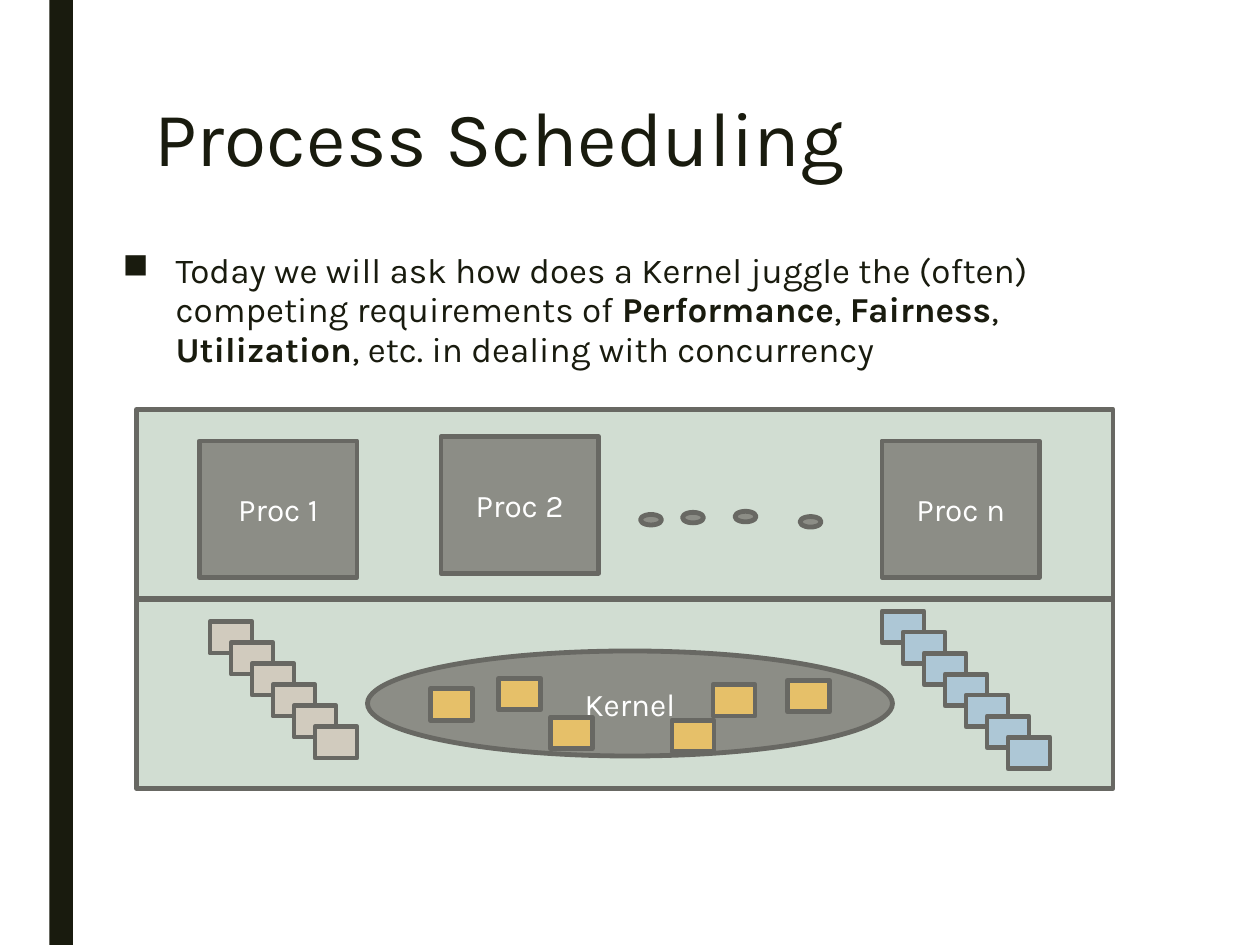
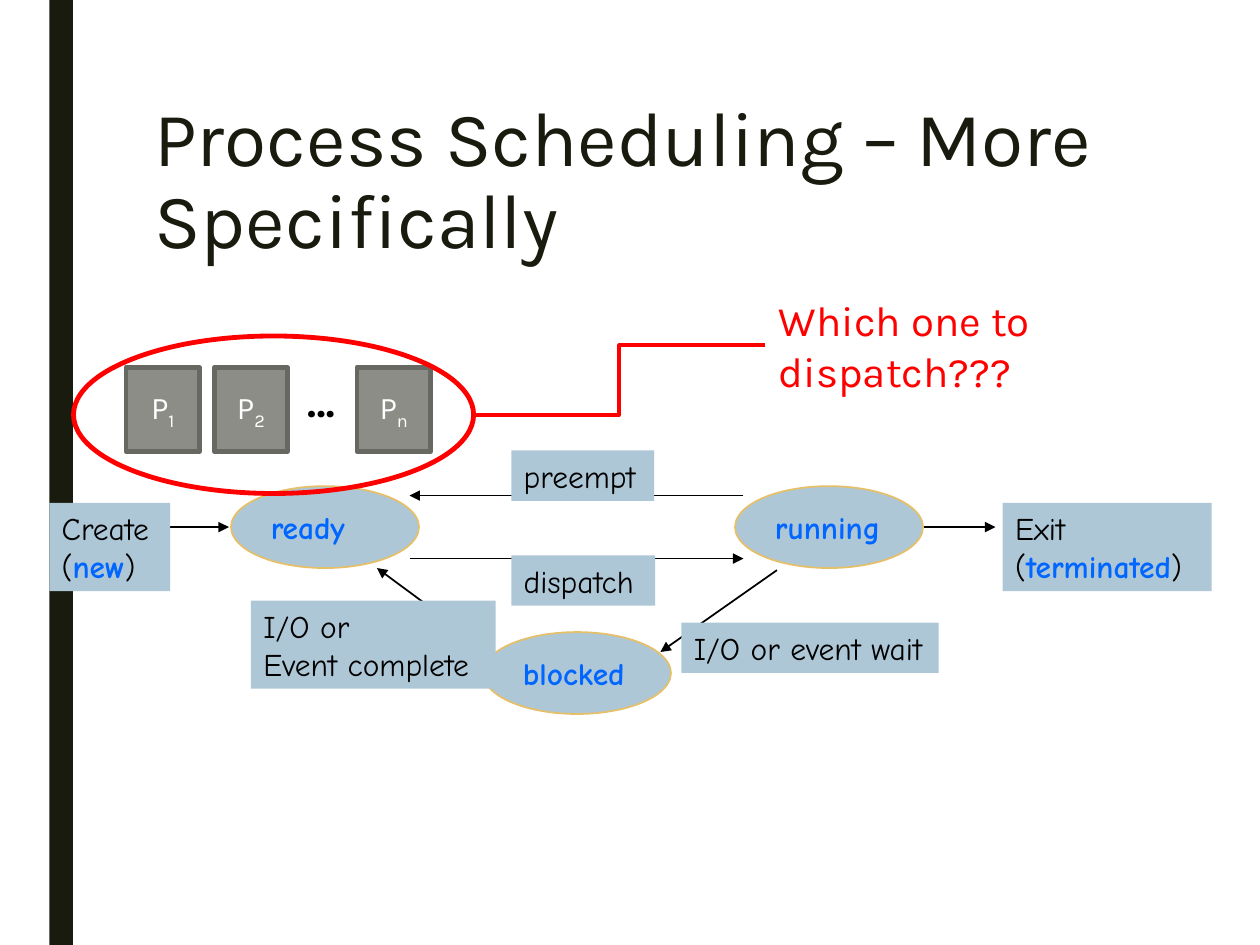
from lxml.etree import SubElement as Sub
from pptx import Presentation
from pptx.dml.color import RGBColor as Rgb
from pptx.enum.shapes import MSO_CONNECTOR as Link, MSO_SHAPE as Form
from pptx.enum.text import MSO_ANCHOR as Anchor, MSO_AUTO_SIZE as Fit, PP_ALIGN as Align
from pptx.oxml.ns import qn
from pptx.util import Inches, Pt

COLS, ROWS = 120, 90
HUE = dict(ink="191B0E", black="000000", white="FFFFFF", red="FF0000", word="0066FF",
           panel="D1DDD2", gray="8C8D86", edge="686863", gold="E6C069",
           sand="D1CBBE", sky="ADC7D6")
TITLE = dict(size=Pt(44), name="Karla", hue="ink")
BODY = dict(TITLE, size=Pt(20))
NODE = dict(size=Pt(18), name="Karla", hue="white")
NOTE = dict(size=Pt(18), name="Comic Neue", hue="black")
ASK = dict(size=Pt(24), name="Karla", hue="red")
BOLD = dict(bold=True)
STATE = dict(bold=True, hue="word")
LOW = dict(base="-25000")


class Pen:
    """Draws on the current slide; places are columns and rows of the grid."""

    def __init__(self, deck):
        self.deck = deck
        self.col = deck.slide_width / COLS
        self.row = deck.slide_height / ROWS

    def place(self, *pairs):
        return [int(v * (self.row if i % 2 else self.col)) for i, v in enumerate(pairs)]

    def page(self, title, high):
        self.slide = self.deck.slides.add_slide(self.deck.slide_layouts[5])
        self.shape(Form.RECTANGLE, (4.7, 0, 2.25, ROWS), "ink", None)
        head = self.slide.shapes.title
        head.left, head.top, head.width, head.height = self.place(13.5, 9, 94.5, high)
        self.letter(head, [title], TITLE, para=dict(line_spacing=0.89))

    def letter(self, shape, lines, style, para={}, **frame):
        """Fill a shape; a line is a string or a list of strings and (string, style) runs."""
        box = shape.text_frame
        for key, val in dict(dict(word_wrap=True, auto_size=Fit.NONE,
                                  vertical_anchor=Anchor.TOP), **frame).items():
            setattr(box, key, val)
        for i, line in enumerate(lines):
            par = box.add_paragraph() if i else box.paragraphs[0]
            for key, val in dict(dict(alignment=Align.LEFT), **para).items():
                setattr(par, key, val)
            for part in [line] if isinstance(line, str) else line:
                text, extra = (part, {}) if isinstance(part, str) else part
                self.span(par, text, dict(style, **extra))

    def span(self, par, text, style):
        run = par.add_run()
        run.text = text
        for key, val in style.items():
            if key == "hue":
                run.font.color.rgb = Rgb.from_string(HUE[val])
            elif key == "base":
                run.font._element.set("baseline", val)
            else:
                setattr(run.font, key, val)

    def shape(self, form, spot, fill="gray", line="edge", wide=2.75):
        item = self.slide.shapes.add_shape(form, *self.place(*spot))
        item.shadow.inherit = False
        if fill:
            item.fill.solid()
            item.fill.fore_color.rgb = Rgb.from_string(HUE[fill])
        else:
            item.fill.background()
        if line:
            item.line.color.rgb = Rgb.from_string(HUE[line])
            item.line.width = Pt(wide)
        else:
            item.line.fill.background()
        return item

    def node(self, form, spot, parts):
        self.letter(self.shape(form, spot), [parts], NODE,
                    para=dict(alignment=Align.CENTER), vertical_anchor=Anchor.MIDDLE)

    def state(self, spot, name):
        oval = self.shape(Form.OVAL, spot, "sky", "gold", 1)
        self.letter(oval, [name], dict(NOTE, **STATE), word_wrap=False,
                    vertical_anchor=Anchor.MIDDLE)

    def label(self, spot, *lines):
        self.letter(self.shape(Form.RECTANGLE, spot, "sky", None), lines, NOTE,
                    word_wrap=False, auto_size=Fit.SHAPE_TO_FIT_TEXT)

    def text(self, spot, lines, style, **more):
        item = self.slide.shapes.add_textbox(*self.place(*spot))
        self.letter(item, lines, style, **more)
        return item

    def bullet(self, spot, parts):
        item = self.text(spot, [parts], BODY, para=dict(
            line_spacing=0.94, space_before=Pt(10), space_after=Pt(2)))
        prop = item.text_frame.paragraphs[0]._p.get_or_add_pPr()
        prop.set("marL", str(Inches(0.42)))
        prop.set("indent", str(-Inches(0.42)))
        Sub(prop, qn("a:buChar")).set("char", "■")

    def wire(self, ends, hue="black", wide=1, kind=Link.STRAIGHT, tip=True):
        item = self.slide.shapes.add_connector(kind, *self.place(*ends))
        item.line.color.rgb = Rgb.from_string(HUE[hue])
        item.line.width = Pt(wide)
        if tip:
            Sub(item.line._get_or_add_ln(), qn("a:tailEnd")).set("type", "triangle")
        Sub(item._element.spPr, qn("a:effectLst"))


def overview(pen):
    pen.page("Process Scheduling", 12.5)
    pen.bullet((10.5, 23.4, 99.8, 18.4), [
        "Today we will ask how does a Kernel juggle the (often) competing requirements of ",
        ("Performance", BOLD), ", ", ("Fairness", BOLD), ", ", ("Utilization", BOLD),
        ", etc. in dealing with concurrency"])

    pen.shape(Form.RECTANGLE, (13, 39, 93, 18), "panel")
    for x, y, name in ((19, 42, "Proc 1"), (42, 41.6, "Proc 2"), (84, 42, "Proc n")):
        pen.node(Form.RECTANGLE, (x, y, 15, 13), name)
    for x, y in ((61, 49), (65, 48.8), (70, 48.7), (76.2, 49.2)):
        pen.shape(Form.OVAL, (x, y, 2, 1))

    pen.shape(Form.RECTANGLE, (13, 57.1, 93, 18), "panel")
    pen.node(Form.OVAL, (35, 62, 50, 10), "Kernel")
    tasks = [(41, 65.6), (47.5, 64.6), (75, 64.8), (67.9, 65.2), (64, 68.6), (52.4, 68.3)]
    sands = [(20 + 2 * i, 59.2 + 2 * i) for i in range(6)]
    skies = [(84 + 2 * i, 58.2 + 2 * i) for i in range(7)]
    for hue, spots in (("gold", tasks), ("sand", sands), ("sky", skies)):
        for x, y in spots:
            pen.shape(Form.RECTANGLE, (x, y, 4, 3), hue)


def detail(pen):
    pen.page("Process Scheduling – More Specifically", 19.4)
    for x, y, name in ((22, 46.3, "ready"), (70, 46.3, "running"), (46, 60.2, "blocked")):
        pen.state((x, y, 17.9, 7.8), name)
    for ends in ((15, 50.2, 21.8, 50.2), (88, 50.2, 94.8, 50.2),
                 (70.8, 47.2, 39, 47.2), (39, 53.2, 70.8, 53.2),
                 (74, 54.3, 62.9, 62.1), (47, 62.3, 35.9, 54.1)):
        pen.wire(ends)
    pen.label((95.5, 47.9, 19.9, 8.4), "Exit", ["(", ("terminated", STATE), ")"])
    pen.label((4.7, 47.9, 11.5, 8.4), "Create", ["(", ("new", STATE), ")"])
    pen.label((48.7, 42.9, 13.6, 4.8), "preempt")
    pen.label((48.7, 52.9, 13.7, 4.8), "dispatch")
    pen.label((64.9, 59.3, 24.5, 4.8), "I/O or event wait")
    pen.label((23.9, 57.2, 23.3, 8.4), "I/O or", "Event complete")

    for x, mark in ((12, "1"), (20.4, "2"), (34, "n")):
        pen.node(Form.RECTANGLE, (x, 35, 7, 8), ["P", (mark, LOW)])
    pen.text((28.1, 35.2, 5.4, 6), ["…"], dict(ASK, hue="black", bold=True), word_wrap=False)
    pen.shape(Form.OVAL, (7, 32, 38.1, 15), None, "red")
    pen.wire((45.1, 39.5, 72.9, 32.9), "red", 2.25, Link.ELBOW, tip=False)
    pen.text((73, 27.5, 34, 10.9), ["Which one to dispatch???"], ASK)


def main():
    deck = Presentation()
    deck.slide_width, deck.slide_height = Inches(10), Inches(7.5)
    pen = Pen(deck)
    overview(pen)
    detail(pen)
    deck.save("out.pptx")


if __name__ == "__main__":
    main()
